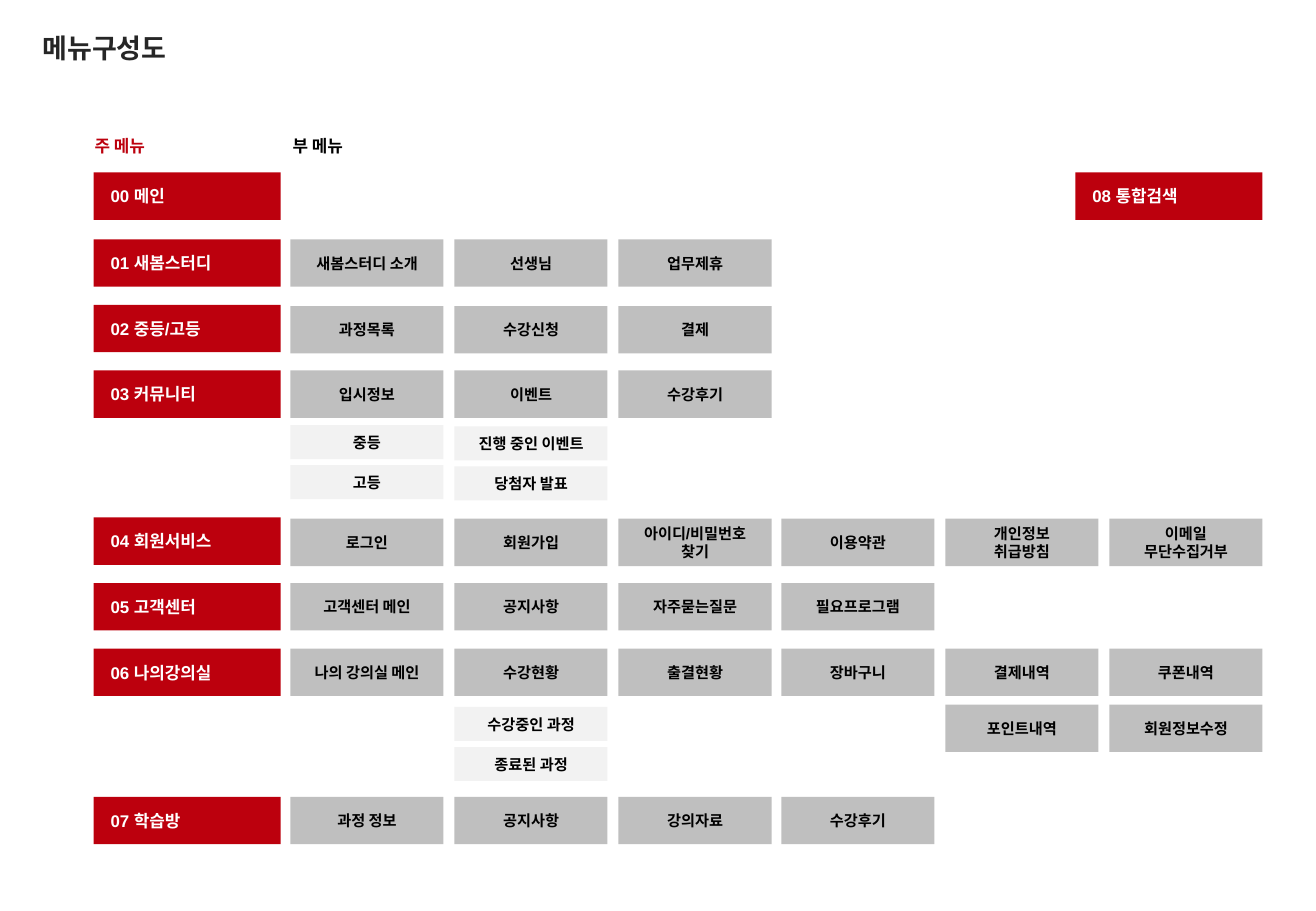
from pptx import Presentation
from pptx.dml.color import RGBColor
from pptx.enum.shapes import MSO_SHAPE
from pptx.enum.text import MSO_ANCHOR, PP_ALIGN
from pptx.util import Pt

RECT = MSO_SHAPE.RECTANGLE
MIDDLE = MSO_ANCHOR.MIDDLE
LEFT, CENTER = PP_ALIGN.LEFT, PP_ALIGN.CENTER
PX = 9144  # 100 px to the inch
COLORS = {"red": "BC000D", "gray": "BFBFBF", "light": "F2F2F2",
          "white": "FFFFFF", "black": "000000", "title": "262626"}

MAIN_X, MAIN_W = 77, 154
SUB_X, SUB_W, SUB_PITCH = 239, 126, 134.8
BAR_H, DETAIL_H, DETAIL_PITCH = 39, 28, 33


def style(paragraph, size, color, font="Arial", align=LEFT):
    paragraph.alignment = align
    paragraph.font.size = Pt(size)
    paragraph.font.bold = True
    paragraph.font.name = font
    paragraph.font.color.rgb = RGBColor.from_string(COLORS[color])


def add_box(x, y, w, h, text, fill, size=9, color="black", align=CENTER, inset=10):
    box = slide.shapes.add_shape(RECT, *(round(v) * PX for v in (x, y, w, h)))
    box.shadow.inherit = False
    box.fill.solid()
    box.fill.fore_color.rgb = RGBColor.from_string(COLORS[fill])
    box.line.fill.background()
    frame = box.text_frame
    frame.text = text
    frame.word_wrap = True
    frame.vertical_anchor = MIDDLE
    frame.margin_left = inset * PX
    for paragraph in frame.paragraphs:
        style(paragraph, size, color, align=align)


prs = Presentation()
prs.slide_width, prs.slide_height = 1083 * PX, 750 * PX
slide = prs.slides.add_slide(prs.slide_layouts[5])

# Title
title = slide.shapes.title
title.left, title.top, title.width, title.height = (v * PX for v in (25, 21, 249, 40))
title.text_frame.text = "메뉴구성도"
title.text_frame.vertical_anchor = MIDDLE
title.text_frame.paragraphs[0].line_spacing = 0.9
style(title.text_frame.paragraphs[0], 16, "title", "Calibri")

# Column headings
for x, heading, color in [(68, "주 메뉴", "red"), (231, "부 메뉴", "black")]:
    label = slide.shapes.add_textbox(x * PX, 107 * PX, 65 * PX, 27 * PX)
    label.text_frame.word_wrap = False
    label.text_frame.text = heading
    style(label.text_frame.paragraphs[0], 10, color, "Calibri")

# Main menus: left, top, name
main_menus = [
    (MAIN_X, 142, "00 메인"),
    (MAIN_X, 197, "01 새봄스터디"),
    (MAIN_X, 251, "02 중등/고등"),
    (MAIN_X, 305, "03 커뮤니티"),
    (MAIN_X, 426, "04 회원서비스"),
    (MAIN_X, 480, "05 고객센터"),
    (MAIN_X, 534, "06 나의강의실"),
    (MAIN_X, 656, "07 학습방"),
    (885, 142, "08 통합검색"),
]
for x, y, name in main_menus:
    add_box(x, y, MAIN_W, BAR_H, name, "red", 10, "white", LEFT, 14)

# Submenus: top, first column, names
submenus = [
    (197, 0, ["새봄스터디 소개", "선생님", "업무제휴"]),
    (252, 0, ["과정목록", "수강신청", "결제"]),
    (305, 0, ["입시정보", "이벤트", "수강후기"]),
    (427, 0, ["로그인", "회원가입", "아이디/비밀번호\n찾기", "이용약관",
              "개인정보\n취급방침", "이메일\n무단수집거부"]),
    (480, 0, ["고객센터 메인", "공지사항", "자주묻는질문", "필요프로그램"]),
    (534, 0, ["나의 강의실 메인", "수강현황", "출결현황", "장바구니",
              "결제내역", "쿠폰내역"]),
    (580, 4, ["포인트내역", "회원정보수정"]),
    (656, 0, ["과정 정보", "공지사항", "강의자료", "수강후기"]),
]
for y, first, names in submenus:
    for column, name in enumerate(names, first):
        add_box(SUB_X + SUB_PITCH * column, y, SUB_W, BAR_H, name, "gray")

# Detail menus below a submenu: column, top, names
details = [
    (0, 350, ["중등", "고등"]),
    (1, 351, ["진행 중인 이벤트", "당첨자 발표"]),
    (1, 582, ["수강중인 과정", "종료된 과정"]),
]
for column, top, names in details:
    for i, name in enumerate(names):
        add_box(SUB_X + SUB_PITCH * column, top + DETAIL_PITCH * i,
                SUB_W, DETAIL_H, name, "light")

prs.save("out.pptx")
